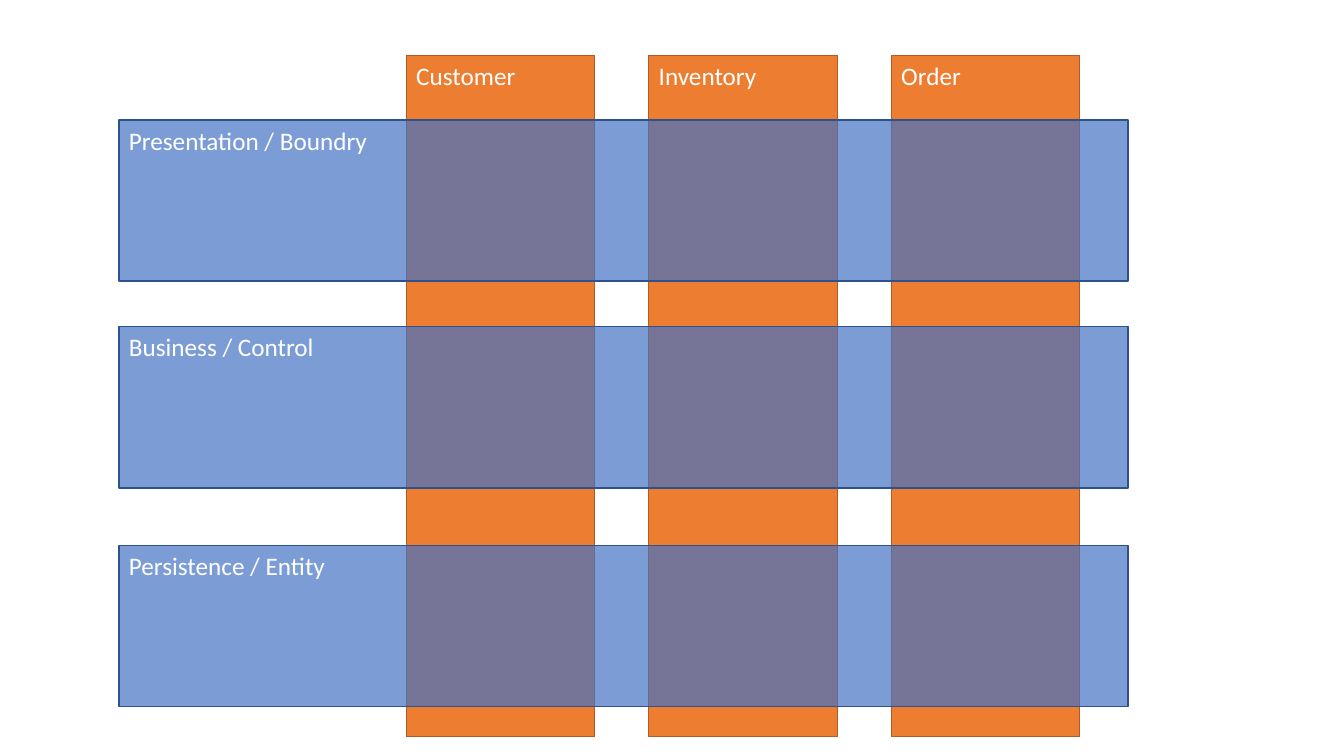
"""Build a slide of business domains crossed by application layers."""
from pptx import Presentation
from pptx.dml.color import RGBColor
from pptx.enum.shapes import MSO_SHAPE
from pptx.enum.text import MSO_ANCHOR, PP_ALIGN
from pptx.oxml.ns import qn
from pptx.util import Inches, Pt
from lxml.etree import SubElement

DOMAINS = ["Customer", "Inventory", "Order"]
LAYERS = [
    ("Presentation / Boundry", 1.19),
    ("Business / Control", 3.24),
    ("Persistence / Entity", 5.41),
]
COLORS = {
    "domain": "ED7D31",
    "domain_line": "AF5C24",
    "layer": "4472C4",
    "layer_line": "2F528F",
    "text": "FFFFFF",
}
LEFT, PITCH = 4.03, 2.405


def color(name):
    """Return a named colour."""
    return RGBColor.from_string(COLORS[name])


def add_box(slide, label, kind, box, alpha=100):
    """Add a labelled rectangle with the given opacity in percent."""
    shape = slide.shapes.add_shape(MSO_SHAPE.RECTANGLE, *map(Inches, box))
    shape.shadow.inherit = False
    shape.fill.solid()
    shape.fill.fore_color.rgb = color(kind)
    if alpha < 100:
        tint = shape._element.spPr.find(qn("a:solidFill"))[0]
        SubElement(tint, qn("a:alpha")).set("val", str(alpha * 1000))
    shape.line.color.rgb = color(kind + "_line")
    shape.line.width = Pt(1)
    frame = shape.text_frame
    frame.word_wrap = True
    frame.vertical_anchor = MSO_ANCHOR.TOP
    frame.text = label
    para = frame.paragraphs[0]
    para.alignment = PP_ALIGN.LEFT
    para.font.name = "Calibri"
    para.font.size = Pt(18)
    para.font.color.rgb = color("text")


def main():
    """Draw the domains, then the layers over them."""
    deck = Presentation()
    deck.slide_width, deck.slide_height = Inches(13.33), Inches(7.5)
    slide = deck.slides.add_slide(deck.slide_layouts[6])
    for i, label in enumerate(DOMAINS):
        add_box(slide, label, "domain", (LEFT + i * PITCH, 0.55, 1.87, 6.76))
    for label, top in LAYERS:
        add_box(slide, label, "layer", (1.18, top, 10.01, 1.6), 70)
    deck.save("out.pptx")


if __name__ == "__main__":
    main()
